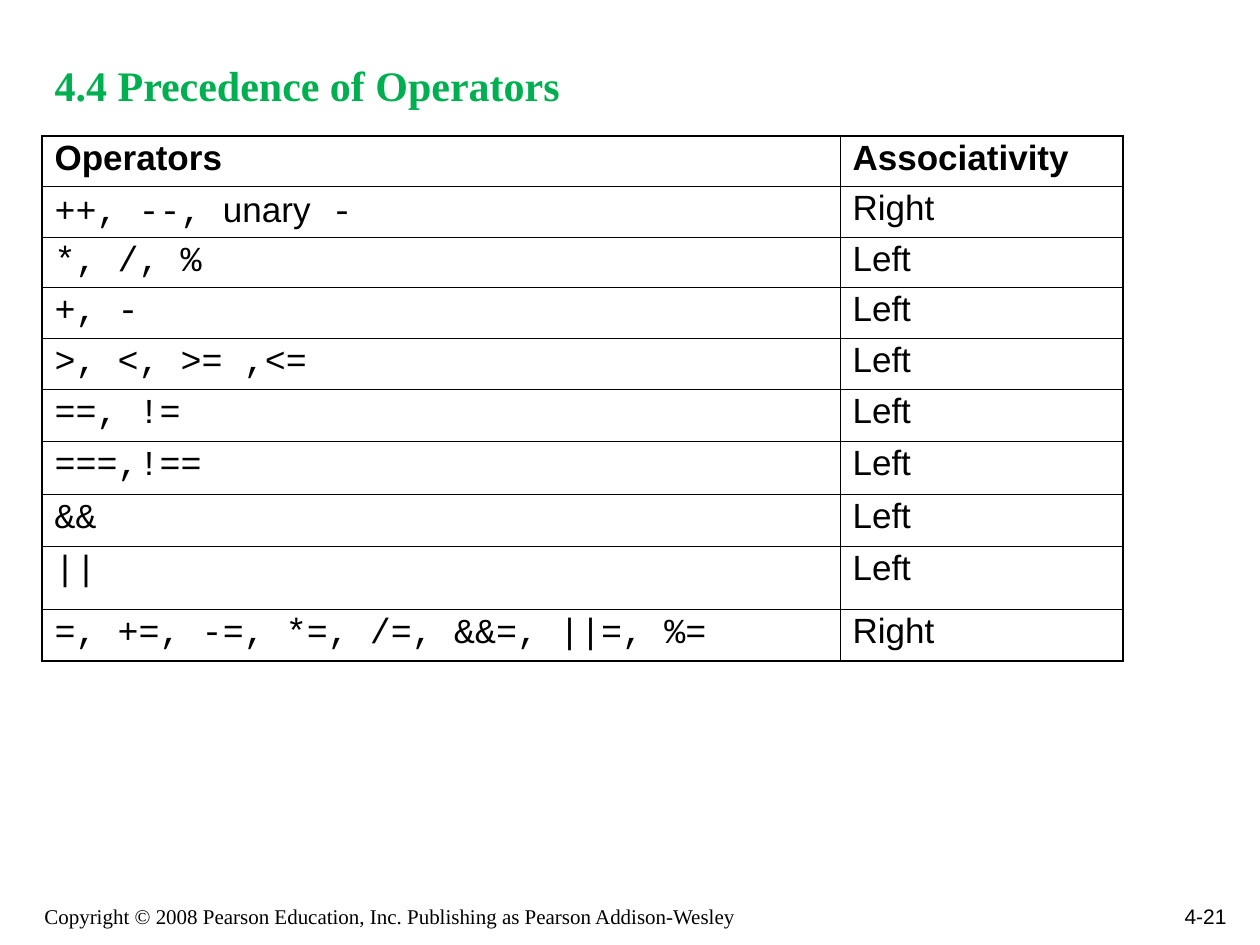
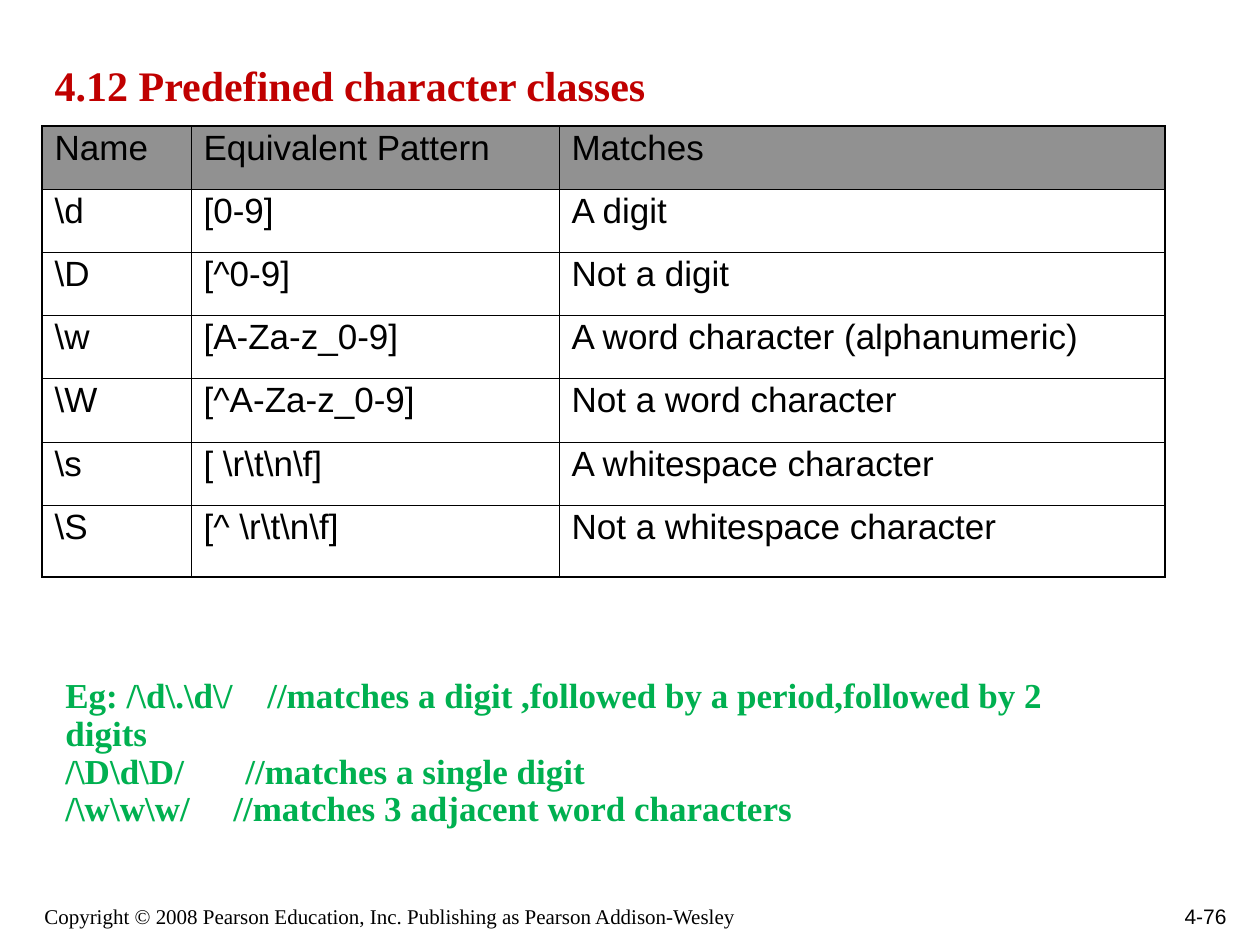
from pptx import Presentation
from pptx.dml.color import RGBColor
from pptx.enum.text import MSO_ANCHOR, MSO_AUTO_SIZE, PP_ALIGN
from pptx.oxml.ns import qn
from pptx.util import Emu, Pt
from lxml.etree import SubElement

SCALE = 914400 / 126
SANS, SERIF, MONO = "Arial", "Times New Roman", "Courier New"
BLACK, GREEN, RED, GREY = "000000", "00B050", "C00000", "919191"
CREDIT = "Copyright © 2008 Pearson Education, Inc. Publishing as Pearson Addison-Wesley"


def px(n):
    return Emu(round(n * SCALE))


def color(code):
    return RGBColor.from_string(code)


def write(frame, lines, font=SANS, size=20, ink=BLACK, bold=False,
          align=PP_ALIGN.LEFT, space=1.0, tabs=()):
    """Each line is a string or a list of (text, font) parts."""
    for i, line in enumerate(lines):
        para = frame.paragraphs[0] if i == 0 else frame.add_paragraph()
        para.alignment = align
        para.line_spacing = space
        if tabs:
            stops = SubElement(para._p.get_or_add_pPr(), qn("a:tabLst"))
            SubElement(stops, qn("a:tab"), pos=str(px(tabs[i])), algn="l")
        parts = [(line, font)] if isinstance(line, str) else line
        for text, face in parts:
            run = para.add_run()
            run.text = text
            run.font.name = face
            run.font.size = Pt(size)
            run.font.bold = bold
            run.font.color.rgb = color(ink)


def edge(cell, side, width):
    line = SubElement(cell._tc.get_or_add_tcPr(), qn(f"a:ln{side}"), w=str(Pt(width)))
    fill = SubElement(line, qn("a:solidFill"))
    SubElement(fill, qn("a:srgbClr"), val=BLACK)


class Deck:
    thin, thick = 0.45, 1.08
    left = 42

    def __init__(self):
        self.prs = Presentation()
        self.prs.slide_width, self.prs.slide_height = px(1260), px(945)
        self.slide = None

    def page(self, title, ink, number):
        self.slide = self.prs.slides.add_slide(self.prs.slide_layouts[5])
        # Footer
        self.text([number], 977, 872, 262, 63, size=12,
                  anchor=MSO_ANCHOR.BOTTOM, align=PP_ALIGN.RIGHT)
        self.text([CREDIT], 32, 882, 766, 53, font=SERIF, size=12,
                  anchor=MSO_ANCHOR.BOTTOM)
        # Title
        head = self.slide.shapes.title
        self.place(head, self.left, 42, 1187, 74, MSO_ANCHOR.BOTTOM)
        write(head.text_frame, [title], font=SERIF, size=24, ink=ink, bold=True)

    def place(self, shape, x, y, w, h, anchor):
        shape.left, shape.top, shape.width, shape.height = map(px, (x, y, w, h))
        frame = shape.text_frame
        frame.word_wrap = True
        frame.auto_size = MSO_AUTO_SIZE.NONE
        frame.vertical_anchor = anchor

    def text(self, lines, x, y, w, h, anchor=MSO_ANCHOR.TOP, **style):
        box = self.slide.shapes.add_textbox(0, 0, 0, 0)
        self.place(box, x, y, w, h, anchor)
        write(box.text_frame, lines, **style)

    def table(self, rows, top, widths, heights, fill=None, bold=False, faces=None):
        """The fill and bold settings apply to the header row."""
        faces = faces or [SANS] * len(widths)
        grid = self.slide.shapes.add_table(
            len(rows), len(widths), px(self.left), px(top),
            px(sum(widths)), px(sum(heights))).table
        grid.first_row = grid.horz_banding = False
        for col, width in zip(grid.columns, widths):
            col.width = px(width)
        for r, (row, height) in enumerate(zip(rows, heights)):
            grid.rows[r].height = px(height)
            for c, item in enumerate(row):
                cell = grid.cell(r, c)
                outer = {"L": c == 0, "R": c == len(row) - 1,
                         "T": r == 0, "B": r == len(rows) - 1}
                for side, rim in outer.items():
                    edge(cell, side, self.thick if rim else self.thin)
                if fill and r == 0:
                    cell.fill.solid()
                    cell.fill.fore_color.rgb = color(fill)
                else:
                    cell.fill.background()
                write(cell.text_frame, [item], font=faces[c] if r else SANS,
                      bold=bold and r == 0, space=0.9)


def main():
    deck = Deck()

    # Operator precedence
    deck.page("4.4 Precedence of Operators", GREEN, "4-21")
    ranks = [
        ("Operators", "Associativity"),
        ([("++, --, ", MONO), ("unary", SANS), (" -", MONO)], "Right"),
        ("*, /, %", "Left"),
        ("+, -", "Left"),
        (">, <, >= ,<=", "Left"),
        ("==, !=", "Left"),
        ("===,!==", "Left"),
        ("&&", "Left"),
        ("||", "Left"),
        ("=, +=, -=, *=, /=, &&=, ||=, %=", "Right"),
    ]
    deck.table(ranks, 136, [798, 283], [50, 51, 50, 51, 51, 52, 53, 52, 63, 52],
               bold=True, faces=[MONO, SANS])

    # Character classes
    deck.page("4.12 Predefined character classes", RED, "4-76")
    kinds = [
        ("Name", "Equivalent Pattern", "Matches"),
        (r"\d", "[0-9]", "A digit"),
        (r"\D", "[^0-9]", "Not a digit"),
        (r"\w", "[A-Za-z_0-9]", "A word character (alphanumeric)"),
        (r"\W", "[^A-Za-z_0-9]", "Not a word character"),
        (r"\s", r"[ \r\t\n\f]", "A whitespace character"),
        (r"\S", r"[^ \r\t\n\f]", "Not a whitespace character"),
    ]
    deck.table(kinds, 126, [149, 368, 606], [63] * 4 + [64, 63, 72], fill=GREY)

    # Pattern samples, with the remark after a tab
    samples = [
        (r"Eg: /\d\.\d\/", "//matches a digit ,followed by a period,followed by 2 digits"),
        (r"/\D\d\D/", "//matches a single digit"),
        (r"/\w\w\w/", "//matches 3 adjacent word characters"),
    ]
    deck.text(["\t".join(pair) for pair in samples], 53, 672, 1071, 164,
              font=SERIF, ink=GREEN, bold=True, space=0.9, tabs=[202, 180, 168])

    deck.prs.save("out.pptx")


if __name__ == "__main__":
    main()
